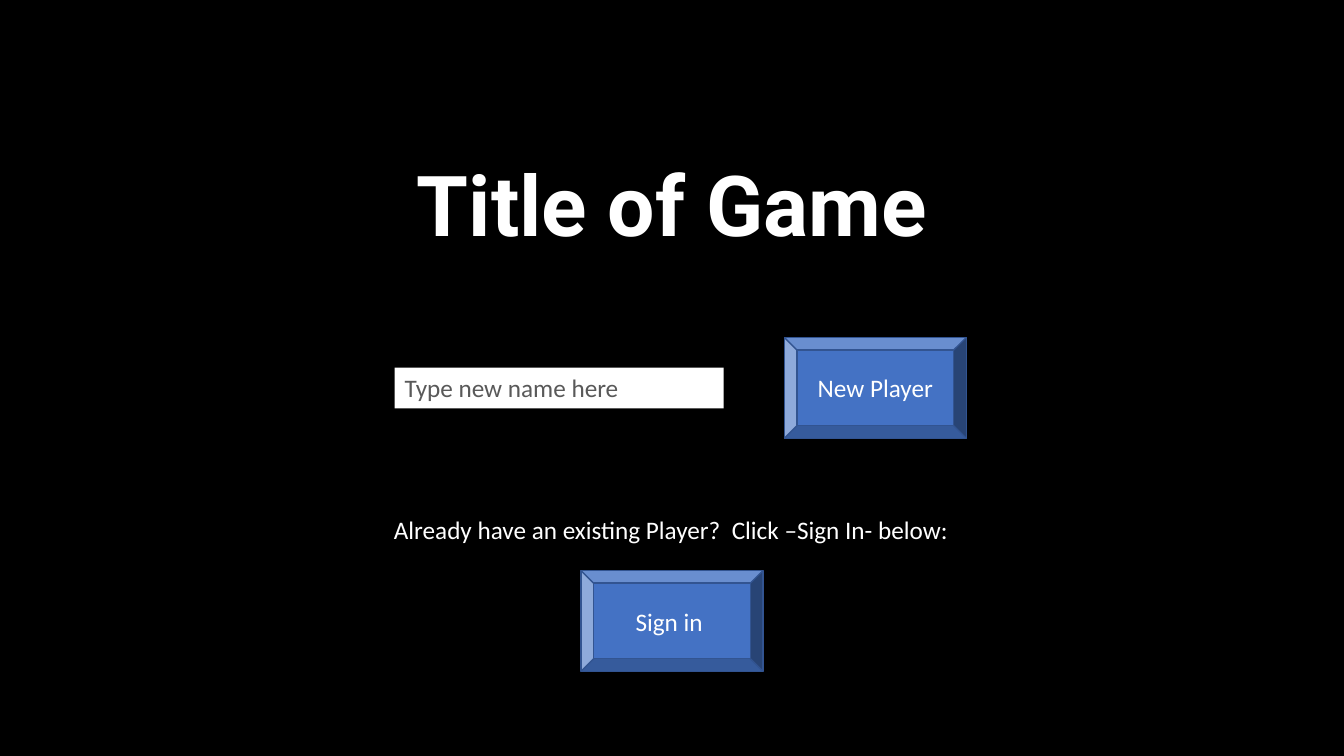
from dataclasses import dataclass

from pptx import Presentation
from pptx.dml.color import RGBColor
from pptx.enum.shapes import MSO_SHAPE
from pptx.enum.text import MSO_ANCHOR, PP_ALIGN
from pptx.util import Pt

BEVEL, RECTANGLE = MSO_SHAPE.BEVEL, MSO_SHAPE.RECTANGLE
LEFT, CENTER = PP_ALIGN.LEFT, PP_ALIGN.CENTER
MIDDLE, BOTTOM, TOP = MSO_ANCHOR.MIDDLE, MSO_ANCHOR.BOTTOM, MSO_ANCHOR.TOP
TITLE_ONLY = 5


@dataclass(frozen=True)
class Theme:
    background: str = "000000"
    light: str = "FFFFFF"
    hint: str = "595959"
    button: str = "4472C4"
    button_edge: str = "325491"
    title_font: str = "Roboto"
    body_font: str = "Calibri"
    title_size: float = 60
    body_size: float = 18


@dataclass(frozen=True)
class Area:
    left: float
    top: float
    width: float
    height: float


@dataclass(frozen=True)
class Button:
    label: str
    left: float
    top: float


THEME = Theme()
BUTTON_WIDTH, BUTTON_HEIGHT = 129.9, 72
TITLE_AREA = Area(120, 105, 720, 80.5)
NAME_FIELD = Area(282, 262.6, 235, 29.08)
SIGN_IN_PROMPT = Area(274.3, 363.8, 415.4, 29.08)
BUTTONS = (
    Button("New Player", 560.3, 241.1),
    Button("Sign in ", 415.05, 407.6),
)


def place(shape, area: Area) -> None:
    for name in ("left", "top", "width", "height"):
        setattr(shape, name, Pt(getattr(area, name)))


def write(shape, text: str, color: str, align=LEFT, anchor=TOP, wrap: bool = True,
          font: str = THEME.body_font, size: float = THEME.body_size, bold: bool = False):
    """Put one formatted line in the shape and return its paragraph."""
    frame = shape.text_frame
    frame.word_wrap = wrap
    frame.vertical_anchor = anchor
    para = frame.paragraphs[0]
    para.alignment = align
    span = para.add_run()
    span.text = text
    for name, value in {"name": font, "size": Pt(size), "bold": bold}.items():
        setattr(span.font, name, value)
    span.font.color.rgb = RGBColor.from_string(color)
    return para


def add_panel(page, kind, area: Area, fill: str, edge: str | None = None):
    panel = page.shapes.add_shape(kind, 0, 0, 0, 0)
    place(panel, area)
    panel.shadow.inherit = False
    panel.fill.solid()
    panel.fill.fore_color.rgb = RGBColor.from_string(fill)
    if edge:
        panel.line.color.rgb = RGBColor.from_string(edge)
        panel.line.width = Pt(1)
    else:
        panel.line.fill.background()
    return panel


def add_button(page, button: Button) -> None:
    area = Area(button.left, button.top, BUTTON_WIDTH, BUTTON_HEIGHT)
    panel = add_panel(page, BEVEL, area, THEME.button, THEME.button_edge)
    write(panel, button.label, THEME.light, CENTER, MIDDLE)


# Deck and background
deck = Presentation()
deck.slide_width, deck.slide_height = Pt(960), Pt(540)
page = deck.slides.add_slide(deck.slide_layouts[TITLE_ONLY])
page.background.fill.solid()
page.background.fill.fore_color.rgb = RGBColor.from_string(THEME.background)

# Title
title = page.shapes.title
place(title, TITLE_AREA)
title_para = write(title, "Title of Game", THEME.light, CENTER, BOTTOM,
                   font=THEME.title_font, size=THEME.title_size, bold=True)
title_para.line_spacing = 0.9

# Buttons
for button in BUTTONS:
    add_button(page, button)

# Name field
name_field = add_panel(page, RECTANGLE, NAME_FIELD, THEME.light)
write(name_field, "Type new name here ", THEME.hint)

# Sign-in prompt
prompt = page.shapes.add_textbox(0, 0, 0, 0)
place(prompt, SIGN_IN_PROMPT)
write(prompt, "Already have an existing Player?  Click –Sign In- below:", THEME.light, wrap=False)

deck.save("out.pptx")
